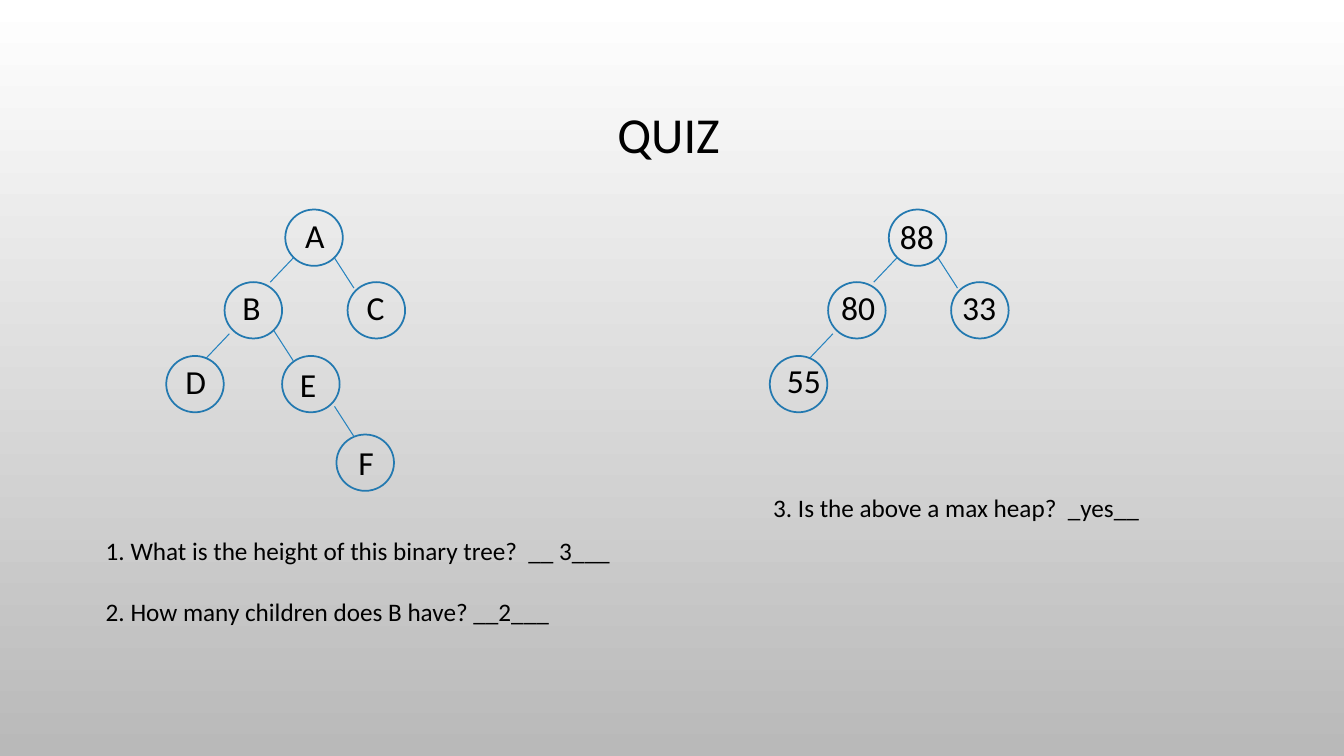
import pptx
import pptx.util
import pptx.dml.color
import pptx.enum.shapes
import pptx.enum.text
import pptx.oxml
import pptx.oxml.ns

Cm, Pt = pptx.util.Cm, pptx.util.Pt

TITLE = "QUIZ"
COLORS = {"ink": "000000", "ring": "2379B0", "link": "2683BF",
          "top": "FFFFFF", "base": "B9B9B9"}
FONT = "Calibri"
SPOTS = {"root": (7.19, 5.28), "left": (5.66, 7.11), "right": (8.76, 7.11),
         "low": (4.19, 8.97), "mid": (7.11, 8.97), "deep": (8.48, 10.95)}
TREES = [
    {"shift": 0, "wide": 1.04,
     "nodes": [("root", "A", 0.25, 0), ("left", "B", 0.2, 0),
               ("right", "C", 0.23, 0), ("low", "D", 0.23, 0),
               ("mid", "E", 0.2, 0.08), ("deep", "F", 0.3, 0.05)],
     "links": [("root", "L", 0, 0), ("root", "R", 0, 0),
               ("left", "L", -0.08, 0.08), ("left", "R", 0, 0),
               ("mid", "R", 0.08, 0.05)]},
    {"shift": 15.21, "wide": 1.45,
     "nodes": [("root", "88", 0.03, 0.03), ("left", "80", 0.08, 0),
               ("right", "33", 0.03, 0), ("low", "55", 0.18, -0.03)],
     "links": [("root", "L", 0, 0), ("root", "R", 0, 0),
               ("left", "L", -0.08, 0.08)]},
]
SLANTS = {"L": (0.2, 1.22, -0.38, 1.83), "R": (1.24, 1.22, 1.73, 1.98)}
ASKS = [
    ((2.41, 13.36, 15.65, 2.57),
     ["1. What is the height of this binary tree?  __ 3___",
      "2. How many children does B have? __2___"]),
    ((19.23, 12.29, 10.95, 1.02), ["3. Is the above a max heap?  _yes__"]),
]


def tint(name):
    return pptx.dml.color.RGBColor.from_string(COLORS[name])


def place(shape, box):
    shape.left, shape.top, shape.width, shape.height = map(Cm, box)


def style(para, size):
    para.font.size = Pt(size)
    para.font.name = FONT
    para.font.color.rgb = tint("ink")


def ring(slide, x, y):
    oval = slide.shapes.add_shape(pptx.enum.shapes.MSO_SHAPE.OVAL,
                                  Cm(x), Cm(y), Cm(1.45), Cm(1.42))
    oval.shadow.inherit = False
    oval.fill.background()
    oval.line.color.rgb = tint("ring")
    oval.line.width = Pt(1.25)


def label(slide, text, x, y, wide):
    box = slide.shapes.add_textbox(Cm(x), Cm(y), Cm(wide), Cm(1.27))
    box.text_frame.word_wrap = False
    para = box.text_frame.paragraphs[0]
    para.text = text
    style(para, 24)


def link(slide, x, y, side):
    dx, dy, ex, ey = SLANTS[side]
    line = slide.shapes.add_connector(
        pptx.enum.shapes.MSO_CONNECTOR.STRAIGHT,
        Cm(x + dx), Cm(y + dy), Cm(x + ex), Cm(y + ey))
    line.line.color.rgb = tint("link")
    line.line.width = Pt(0.75)
    props = line._element.spPr
    props.append(pptx.oxml.parse_xml(
        "<a:effectLst %s/>" % pptx.oxml.ns.nsdecls("a")))


def draw(slide, tree):
    for spot, text, dx, dy in tree["nodes"]:
        x, y = SPOTS[spot]
        x += tree["shift"]
        ring(slide, x, y)
        label(slide, text, x + dx, y + dy, tree["wide"])
    for spot, side, dx, dy in tree["links"]:
        x, y = SPOTS[spot]
        link(slide, x + tree["shift"] + dx, y + dy, side)


def ask(body, box, lines):
    place(body, box)
    frame = body.text_frame
    frame.auto_size = pptx.enum.text.MSO_AUTO_SIZE.NONE
    frame.text = "\n".join(lines)
    for i, para in enumerate(frame.paragraphs):
        style(para, 18)
        para.space_before = Pt(22 if i else 0)
        props = para._p.get_or_add_pPr()
        props.set("marL", "0")
        props.set("indent", "0")
        props.append(pptx.oxml.parse_xml(
            "<a:buNone %s/>" % pptx.oxml.ns.nsdecls("a")))
        rest = props.find(pptx.oxml.ns.qn("a:defRPr"))
        if rest is not None:
            props.append(rest)


def main():
    deck = pptx.Presentation()
    deck.slide_width, deck.slide_height = Cm(33.87), Cm(19.05)
    slide = deck.slides.add_slide(deck.slide_layouts[3])
    fill = slide.background.fill
    fill.gradient()
    fill.gradient_angle = 270
    for stop, name, pos in zip(fill.gradient_stops, ("top", "base"), (0, 1)):
        stop.color.rgb = tint(name)
        stop.position = pos

    title = slide.shapes.title
    place(title, (2.46, 1.22, 28.78, 4.45))
    title.text_frame.text = TITLE
    title.text_frame.vertical_anchor = pptx.enum.text.MSO_ANCHOR.MIDDLE
    head = title.text_frame.paragraphs[0]
    head.alignment = pptx.enum.text.PP_ALIGN.CENTER
    head.line_spacing = 0.9
    style(head, 36)

    for tree in TREES:
        draw(slide, tree)
    for key, (box, lines) in enumerate(ASKS, 1):
        ask(slide.placeholders[key], box, lines)
    deck.save("out.pptx")


if __name__ == "__main__":
    main()
